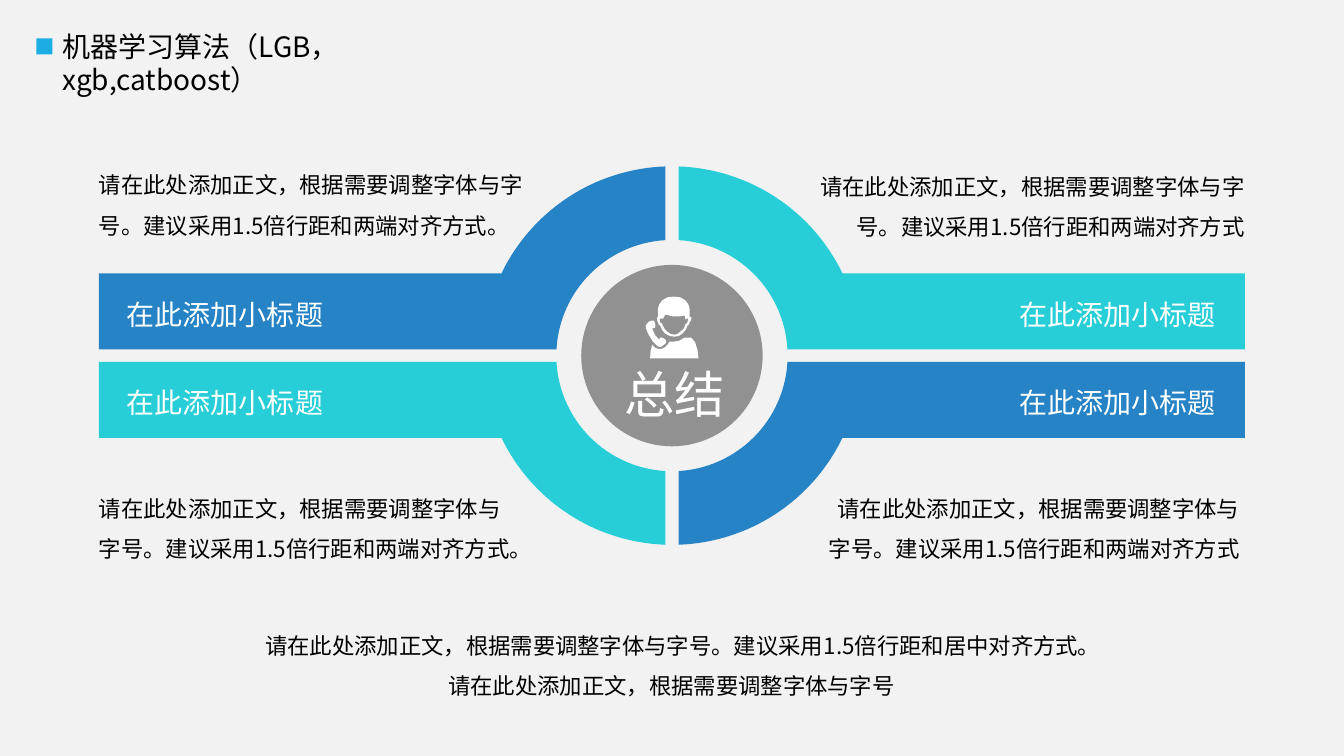
"""Build a summary slide with four banners curling around a central circle."""
import math

import pptx
import pptx.dml.color
import pptx.enum.shapes
import pptx.enum.text
import pptx.oxml.ns
import pptx.util
from lxml import etree

Pt = pptx.util.Pt
RGBColor = pptx.dml.color.RGBColor
SHAPES = pptx.enum.shapes.MSO_SHAPE
ALIGN = pptx.enum.text.PP_ALIGN

BACKGROUND = RGBColor(0xF2, 0xF2, 0xF2)
BLUE = RGBColor(0x26, 0x83, 0xC6)
TEAL = RGBColor(0x27, 0xCE, 0xD7)
ACCENT = RGBColor(0x1C, 0xAD, 0xE4)
BLACK = RGBColor(0, 0, 0)
WHITE = RGBColor(0xFF, 0xFF, 0xFF)
CJK_FONT = "Noto Sans CJK SC"

deck = pptx.Presentation()
deck.slide_width = Pt(960)
deck.slide_height = Pt(540)
page = deck.slides.add_slide(deck.slide_layouts[6])
page.background.fill.solid()
page.background.fill.fore_color.rgb = BACKGROUND


def paint(shape, color):
    shape.shadow.inherit = False
    shape.fill.solid()
    shape.fill.fore_color.rgb = color
    shape.line.fill.background()


def add_text(frame, lines, size, color=BLACK, font=CJK_FONT,
             align=ALIGN.LEFT, wrap=True, body=False):
    left, top, width, height = frame
    box = page.shapes.add_textbox(Pt(left), Pt(top), Pt(width), Pt(height))
    text = box.text_frame
    text.word_wrap = wrap
    text.auto_size = pptx.enum.text.MSO_AUTO_SIZE.SHAPE_TO_FIT_TEXT
    if body:
        text.margin_left = text.margin_right = Pt(0)
    for index, line in enumerate(lines):
        para = text.add_paragraph() if index else text.paragraphs[0]
        para.alignment = align
        if body:
            para.line_spacing = 1.5
        span = para.add_run()
        span.text = line
        span.font.size = Pt(size)
        span.font.name = font
        span.font.color.rgb = color
        east_asian = etree.SubElement(span.font._element, pptx.oxml.ns.qn("a:ea"))
        east_asian.set("typeface", CJK_FONT)


CENTER_X, CENTER_Y = 480, 254
OUTER, INNER = 135.2, 82.6
GAP_X, GAP_Y = 4.7, 4.4
BAND_END, BAND_EDGE = 409.3, 58.8
ARC_STEPS = 32

quarter = []
for radius, start, end in (
    (OUTER, math.acos(GAP_X / OUTER), math.asin(BAND_EDGE / OUTER)),
    (INNER, math.asin(GAP_Y / INNER), math.acos(GAP_X / INNER)),
):
    for step in range(ARC_STEPS + 1):
        angle = start + (end - start) * step / ARC_STEPS
        quarter.append((radius * math.cos(angle), radius * math.sin(angle)))
    if radius == OUTER:
        quarter += [(BAND_END, BAND_EDGE), (BAND_END, GAP_Y)]

for side_x, side_y, color in ((-1, -1, BLUE), (-1, 1, TEAL), (1, -1, TEAL), (1, 1, BLUE)):
    outline = [(Pt(CENTER_X + side_x * x), Pt(CENTER_Y + side_y * y)) for x, y in quarter]
    builder = page.shapes.build_freeform(*outline[0])
    builder.add_line_segments(outline[1:], close=True)
    paint(builder.convert_to_shape(), color)
    title_left = 83.5 if side_x < 0 else 719.3
    title_top = 208.8 if side_y < 0 else 271.8
    add_text((title_left, title_top, 156.2, 31.5), ["在此添加小标题"], 20, WHITE, "Calibri",
             ALIGN.LEFT if side_x < 0 else ALIGN.RIGHT, wrap=False)

bullet = page.shapes.add_shape(SHAPES.RECTANGLE, Pt(26), Pt(27.4), Pt(11.5), Pt(11.5))
paint(bullet, ACCENT)
add_text((37.4, 17.3, 352, 31.5), ["机器学习算法（LGB，xgb,catboost）"], 20)

hub = page.shapes.add_shape(SHAPES.OVAL, Pt(415.2), Pt(189.2), Pt(129.6), Pt(129.6))
paint(hub, BLACK)
hub_color = hub.fill._xPr.find(".//" + pptx.oxml.ns.qn("a:srgbClr"))
etree.SubElement(hub_color, pptx.oxml.ns.qn("a:alpha")).set("val", "40000")

OPENING = "请在此处添加正文，根据需要调整字体与"
JUSTIFIED = "字号。建议采用1.5倍行距和两端对齐方式"
CENTERED = "字号。建议采用1.5倍行距和居中对齐方式。"
for frame, lines, align in (
    ((70.6, 109.4, 304.6, 62), [OPENING + JUSTIFIED + "。"], ALIGN.LEFT),
    ((70.6, 340.6, 317.5, 62), [OPENING, JUSTIFIED + "。"], ALIGN.LEFT),
    ((587.5, 340.6, 298, 91.4), [OPENING + JUSTIFIED], ALIGN.RIGHT),
    ((579.6, 110.2, 309.6, 62), [OPENING + JUSTIFIED], ALIGN.RIGHT),
    ((185, 438.5, 589.7, 62), [OPENING + CENTERED + OPENING + "字号"], ALIGN.CENTER),
):
    add_text(frame, lines, 16, align=align, body=True)
add_text((438.5, 255.6, 87.1, 51.1), ["总结"], 36, WHITE, "Calibri", ALIGN.CENTER, wrap=False)

HEAD = [
    (440, 200), (455, 205), (460, 210), (455, 240), (440, 260), (435, 280), (420, 290),
    (405, 330), (370, 370), (335, 393), (290, 400), (245, 393), (200, 370), (170, 335),
    (150, 290), (135, 280), (130, 260), (120, 240), (120, 210), (130, 200), (126, 130),
    (140, 80), (170, 40), (220, 10), (285, 2), (350, 10), (400, 40), (430, 80), (443, 130),
]
FACE = [
    (420, 220), (400, 230), (397, 210), (390, 190), (340, 200), (280, 200), (200, 180),
    (190, 200), (180, 220), (150, 220), (145, 225), (150, 260), (170, 270), (175, 290),
    (195, 325), (220, 350), (255, 374), (290, 380), (320, 374), (350, 350), (385, 320),
    (400, 280), (410, 270), (420, 260), (430, 220),
]
PHONE = [
    (120, 490), (140, 502), (160, 500), (185, 482), (210, 460), (210, 440), (195, 423),
    (170, 410), (160, 407), (150, 410), (140, 430), (100, 385), (70, 320), (100, 310),
    (102, 280), (90, 240), (70, 240), (40, 250), (20, 270), (5, 295), (10, 320), (30, 370),
    (75, 445),
]
BODY = [
    (240, 450), (280, 450), (340, 440), (390, 410), (460, 410), (495, 455), (520, 530),
    (530, 615), (50, 615), (55, 540), (70, 480), (100, 510), (135, 523), (170, 520),
    (200, 503), (230, 470),
]
caller = page.shapes.build_freeform(*HEAD[0], scale=Pt(0.07) * 0.072 / 0.07)
caller.add_line_segments(HEAD[1:], close=True)
for contour in (FACE, PHONE, BODY):
    caller.move_to(*contour[0])
    caller.add_line_segments(contour[1:], close=True)
paint(caller.convert_to_shape(Pt(460.8), Pt(211.7)), WHITE)

deck.save("out.pptx")
